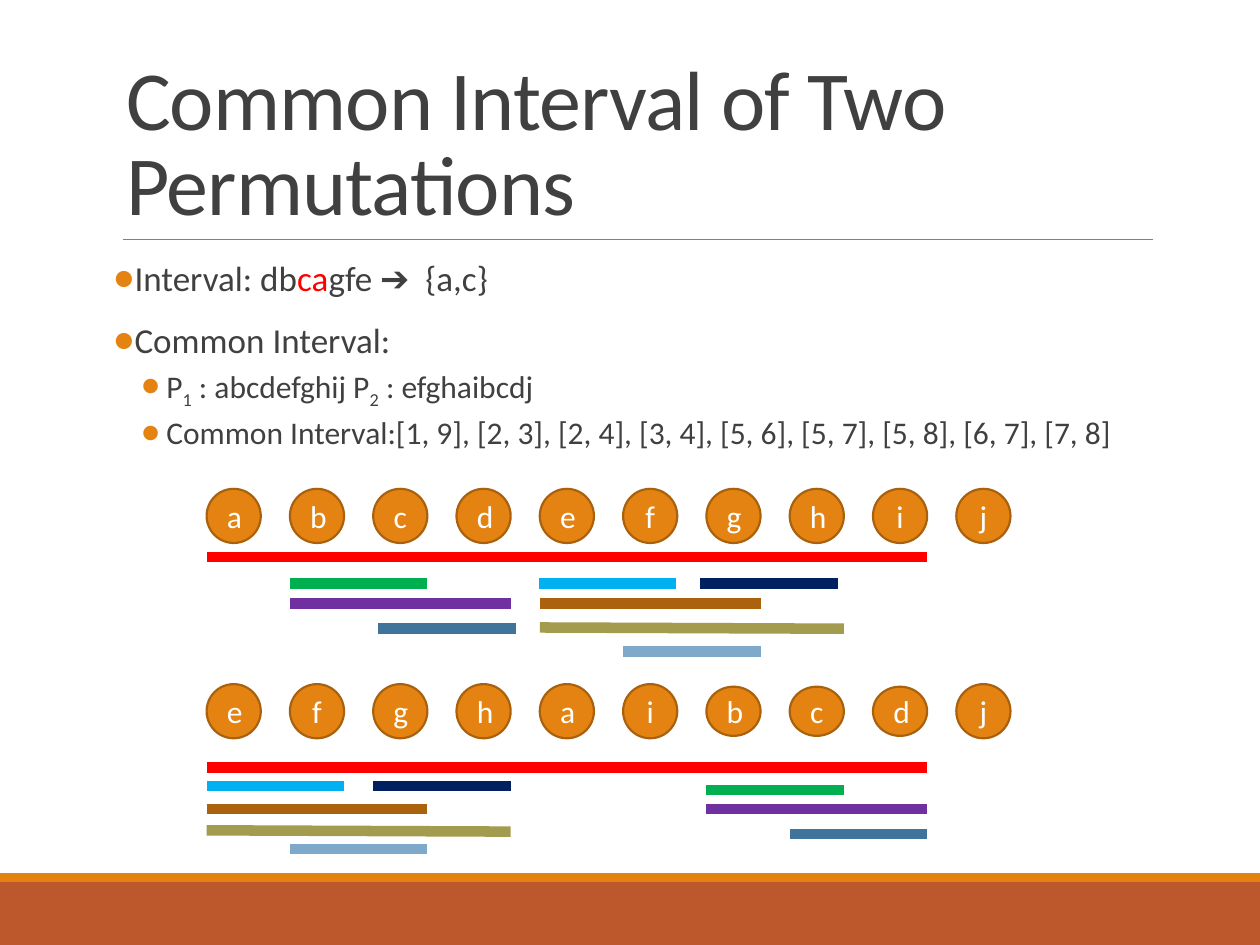
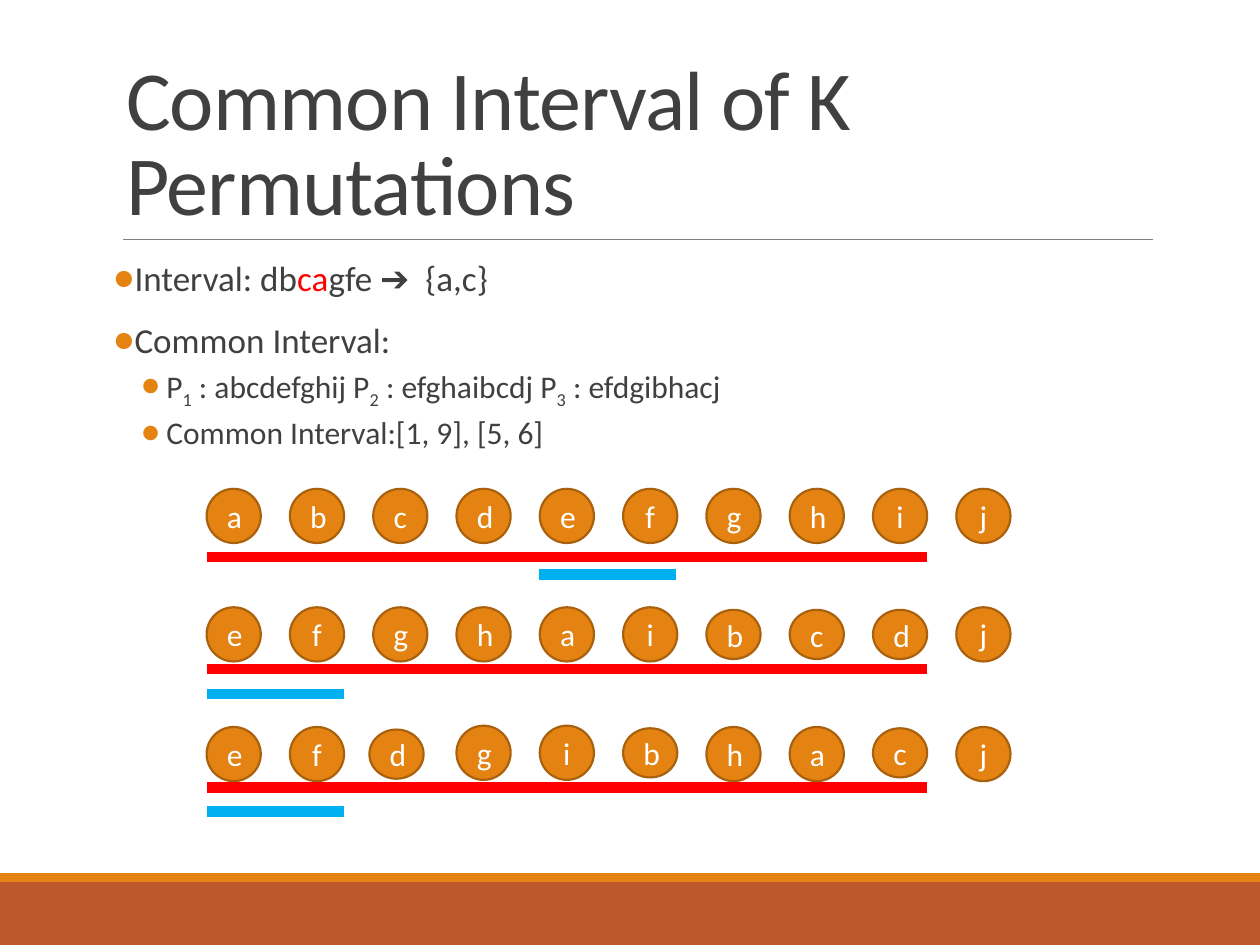
import pptx
import pptx.util
import pptx.dml.color
import pptx.enum.shapes
import pptx.enum.text
import pptx.oxml
import pptx.oxml.ns

PX = 9144  # 100 px to the inch
RGB = pptx.dml.color.RGBColor
Pt = pptx.util.Pt
KIND = pptx.enum.shapes.MSO_SHAPE
ANCHOR = pptx.enum.text.MSO_ANCHOR
ALIGN = pptx.enum.text.PP_ALIGN

FONT = "Calibri"
WHITE = RGB(0xFF, 0xFF, 0xFF)
INK = RGB(0x40, 0x40, 0x40)
GREY = RGB(0x80, 0x80, 0x80)
RUST = RGB(0xBD, 0x58, 0x2C)
ORANGE = RGB(0xE4, 0x83, 0x12)
EDGE = RGB(0xA9, 0x61, 0x0D)
RED = RGB(0xFF, 0x00, 0x00)
GREEN = RGB(0x00, 0xB0, 0x50)
PURPLE = RGB(0x70, 0x30, 0xA0)
STEEL = RGB(0x40, 0x74, 0x9B)
CYAN = RGB(0x00, 0xB0, 0xF0)
BROWN = RGB(0xAB, 0x62, 0x0D)
OLIVE = RGB(0xA3, 0x9B, 0x4E)
SKY = RGB(0x7E, 0xA9, 0xCA)
NAVY = RGB(0x00, 0x20, 0x60)

PAGE = (1000, 750)
TITLE = (90, 31, 825, 159)
BODY = (90, 202, 825, 440)
LEFT, WIDTH, SIZE = 164, 638, 43  # rows of circles
FLAT = 39  # height of a flattened circle


def emu(*sizes):
    return [round(size * PX) for size in sizes]


def place(shape, box):
    shape.left, shape.top, shape.width, shape.height = emu(*box)


def add_run(para, text, size, color=INK):
    run = para.add_run()
    run.text = text
    run.font.name = FONT
    run.font.size = Pt(size)
    run.font.color.rgb = color
    return run


def add_shape(slide, kind, box, fill):
    shape = slide.shapes.add_shape(kind, *emu(*box))
    shape.shadow.inherit = False
    shape.fill.solid()
    shape.fill.fore_color.rgb = fill
    shape.line.fill.background()
    return shape


def add_line(slide, start, end, color, weight):
    line = slide.shapes.add_connector(
        pptx.enum.shapes.MSO_CONNECTOR.STRAIGHT, *emu(*start, *end))
    line.line.color.rgb = color
    line.line.width = Pt(weight)
    line.element.spPr.append(pptx.oxml.parse_xml(
        f"<a:effectLst {pptx.oxml.ns.nsdecls('a')}/>"))
    return line


def dress(layout, slide):
    """Give the layout its bands, rule and placeholder boxes."""
    wide, high = PAGE
    parts = [
        add_shape(slide, KIND.RECTANGLE, (0, high - 50, wide, 50), RUST),
        add_shape(slide, KIND.RECTANGLE, (0, high - 57, wide, 7), ORANGE),
        add_line(slide, (98, 190), (915, 190), GREY, 0.5),
    ]
    for part in parts:
        layout.shapes.element.append(part.element)
    for holder, box in zip(layout.placeholders, (TITLE, BODY)):
        place(holder, box)


def set_title(slide, text):
    frame = slide.shapes.title.text_frame
    frame.auto_size = pptx.enum.text.MSO_AUTO_SIZE.NONE
    frame.vertical_anchor = ANCHOR.BOTTOM
    para = frame.paragraphs[0]
    para.alignment = ALIGN.LEFT
    para.line_spacing = 0.85
    run = add_run(para, text, 48)
    run.font._element.set("spc", "-50")


def set_bullet(para, margin, indent):
    props = para._p.get_or_add_pPr()
    props.set("marL", str(margin * PX))
    props.set("indent", str(-indent * PX))
    space = pptx.oxml.ns.nsdecls("a")
    for mark in (f'<a:buClr {space}><a:srgbClr val="{ORANGE}"/></a:buClr>',
                 f'<a:buFont {space} typeface="{FONT}"/>',
                 f'<a:buChar {space} char="●"/>'):
        props.append(pptx.oxml.parse_xml(mark))


def set_list(slide, perms, spans):
    """Fill the body: the interval example, the permutations, the spans."""
    names = []
    for num, perm in enumerate(perms, 1):
        tail = " P" if num < len(perms) else ""
        names += [(str(num), "sub"), (f" : {perm}{tail}", "")]
    items = [
        (0, [("Interval: db", ""), ("ca", "red"), ("gfe ➔  {a,c}", "")]),
        (0, [("Common Interval:", "")]),
        (1, [("P", "")] + names),
        (1, [("Common Interval:" + spans, "")]),
    ]
    frame = slide.placeholders[1].text_frame
    frame.auto_size = pptx.enum.text.MSO_AUTO_SIZE.NONE
    frame.margin_left = frame.margin_right = 0
    frame.margin_top = frame.margin_bottom = 5 * PX
    for pos, (level, runs) in enumerate(items):
        para = frame.add_paragraph() if pos else frame.paragraphs[0]
        para.level = level
        para.line_spacing = 0.9
        before, after = ((12, 2), (2, 4))[level]
        para.space_before = Pt(before if pos else 0)
        para.space_after = Pt(after)
        set_bullet(para, *((10, 10), (42, 20))[level])
        for text, style in runs:
            run = add_run(para, text, (20, 18)[level],
                          RED if style == "red" else INK)
            if style == "sub":
                run.font._element.set("baseline", "-25000")


def add_row(slide, box, perm, bars, flat="", shift={}):
    """Draw a permutation as circles, with its interval bars below.

    A bar is colour, first and last circle, drop, and maybe nudge and slope.
    """
    left, top, width, size = box
    pitch = (width - size) / (len(perm) - 1)
    for pos, name in enumerate(perm):
        dx, dy = shift.get(name, (0, 0))
        high = FLAT if name in flat else size
        spot = (left + pitch * pos + dx, top + (size - high) / 2 + dy,
                size, high)
        dot = add_shape(slide, KIND.OVAL, spot, ORANGE)
        dot.line.color.rgb = EDGE
        dot.line.width = Pt(1.25)
        frame = dot.text_frame
        frame.vertical_anchor = ANCHOR.MIDDLE
        para = frame.paragraphs[0]
        para.alignment = ALIGN.CENTER
        add_run(para, name, 18, WHITE)
    for color, first, last, drop, *extra in bars:
        nudge, slope = extra or (0, 0)
        start = (left + pitch * first + nudge, top + drop)
        end = (left + pitch * last + size + nudge, top + drop + slope)
        add_line(slide, start, end, color, 6)


P1, P2, P3 = "abcdefghij", "efghaibcdj", "efdgibhacj"

SLIDES = [
    ("Common Interval of Two Permutations", [P1, P2],
     "[1, 9], [2, 3], [2, 4], [3, 4], [5, 6], [5, 7], [5, 8], [6, 7], [7, 8]",
     [
         (388, P1, [
             (RED, 0, 8, 54), (GREEN, 1, 2, 75), (PURPLE, 1, 3, 91),
             (STEEL, 2, 3, 111, 4, 0), (CYAN, 4, 5, 75, -1, 0),
             (BROWN, 4, 6, 91), (OLIVE, 4, 7, 110, 0, 1),
             (SKY, 5, 6, 129), (NAVY, 6, 7, 75, -5, 0)]),
         (543, P2, [
             (RED, 0, 8, 66), (GREEN, 6, 7, 84), (PURPLE, 6, 8, 99),
             (STEEL, 7, 8, 119), (CYAN, 0, 1, 81), (BROWN, 0, 2, 99),
             (OLIVE, 0, 3, 116, 0, 1), (SKY, 1, 2, 131),
             (NAVY, 2, 3, 81)], "bcd"),
     ]),
    ("Common Interval of K Permutations", [P1, P2, P3], "[1, 9], [5, 6]",
     [
         (388, P1, [(RED, 0, 8, 54), (CYAN, 4, 5, 68, -1, 0)]),
         (482, P2, [(RED, 0, 8, 49), (CYAN, 0, 1, 69)], "bcd"),
         (577, P3, [(RED, 0, 8, 48), (CYAN, 0, 1, 67)], "bcd",
          {"d": (-3, 0), "b": (0, -1), "c": (0, -1),
           "g": (0, -1), "i": (0, -1)}),
     ]),
]


def main():
    deck = pptx.Presentation()
    deck.slide_width, deck.slide_height = emu(*PAGE)
    layout = deck.slide_layouts[1]
    for pos, (title, perms, spans, rows) in enumerate(SLIDES):
        slide = deck.slides.add_slide(layout)
        if pos == 0:
            dress(layout, slide)
        set_title(slide, title)
        set_list(slide, perms, spans)
        for top, *row in rows:
            add_row(slide, (LEFT, top, WIDTH, SIZE), *row)
    deck.save("out.pptx")


if __name__ == "__main__":
    main()
